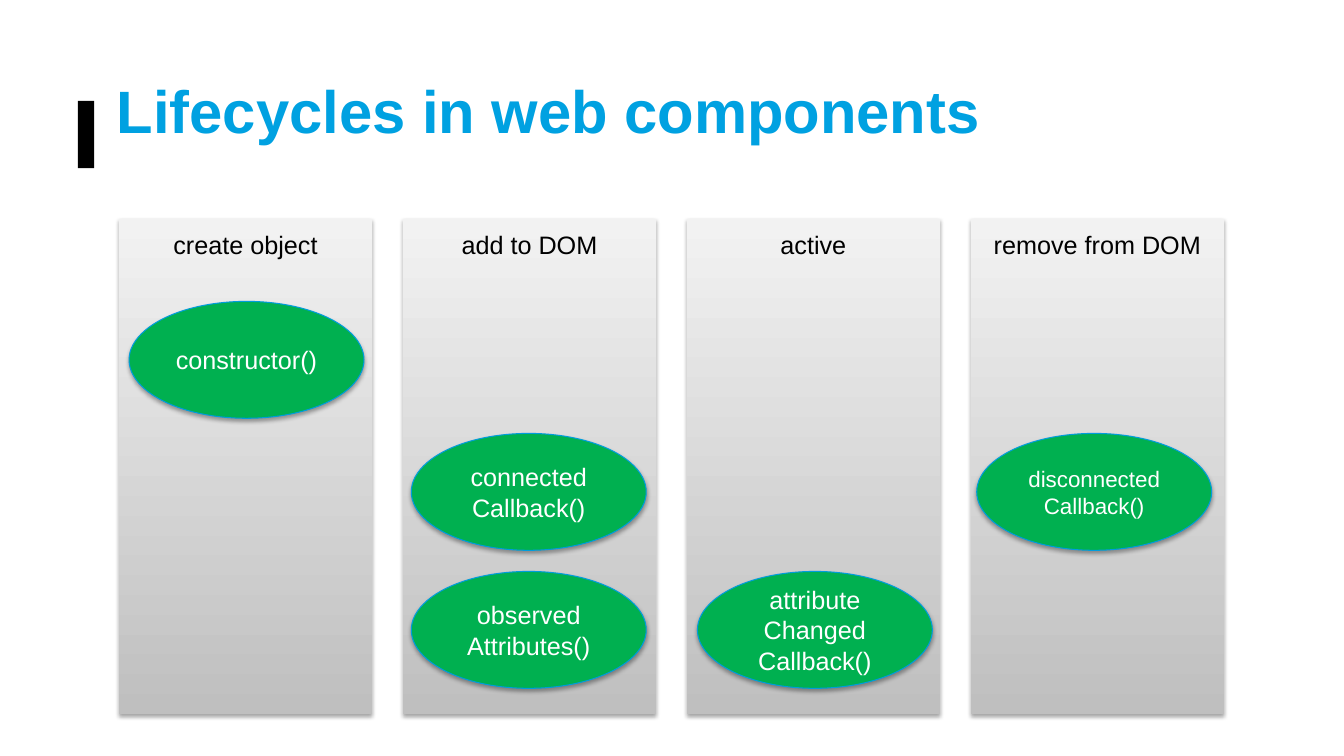
import pptx
import pptx.util
import pptx.dml.color
import pptx.enum.shapes
import pptx.enum.text
import pptx.oxml
import pptx.oxml.ns
from dataclasses import dataclass

Pt = pptx.util.Pt
SHAPE = pptx.enum.shapes.MSO_SHAPE
ALIGN = pptx.enum.text.PP_ALIGN
ANCHOR = pptx.enum.text.MSO_ANCHOR

# Content: each phase has callbacks as (lines, row, offset in column, type size)
TITLE = "Lifecycles in web components"
PHASES = [
    ("create object", [("constructor()", 0, 7.2, "body")]),
    ("add to DOM", [("connected\nCallback()", 1, 6, "body"),
                    ("observed\nAttributes()", 2, 6, "body")]),
    ("active", [("attribute\nChanged\nCallback()", 2, 7.6, "body")]),
    ("remove from DOM", [("disconnected\nCallback()", 1, 4.3, "small")]),
]


@dataclass
class Theme:
    font: str = "Arial"
    title_color: str = "00A1E1"
    bar: str = "000000"
    label: str = "000000"
    dark: str = "BFBFBF"
    light: str = "F2F2F2"
    callback: str = "00B050"
    outline: str = "009DDC"
    callback_text: str = "FFFFFF"
    title: float = 42.7
    body: float = 18
    small: float = 16


theme = Theme()

# Layout in points
COLUMN_LEFT, COLUMN_TOP, COLUMN_W, COLUMN_H = 85, 156.3, 180.8, 353.5
COLUMN_PITCH = 202.8
LABEL_TOP, LABEL_H = 159.9, 29.1
CALLBACK_W, CALLBACK_H = 167.8, 83.5
ROW_TOPS = [215.3, 309.6, 408.2]


def rgb(color):
    return pptx.dml.color.RGBColor.from_string(color)


def set_text(s, text, size, color, align=ALIGN.CENTER, anchor=ANCHOR.MIDDLE, bold=False):
    tf = s.text_frame
    tf.word_wrap = True
    tf.vertical_anchor = anchor
    tf.text = text
    for p in tf.paragraphs:
        p.alignment = align
        for r in p.runs:
            r.font.name = theme.font
            r.font.size = Pt(size)
            r.font.bold = bold
            r.font.color.rgb = rgb(color)


def add_shape(kind, x, y, w, h, fill=None):
    s = slide.shapes.add_shape(kind, Pt(x), Pt(y), Pt(w), Pt(h))
    s.shadow.inherit = False
    s.line.fill.background()
    if fill:
        s.fill.solid()
        s.fill.fore_color.rgb = rgb(fill)
    return s


def add_text(x, y, w, h, *args, **kwargs):
    s = slide.shapes.add_textbox(Pt(x), Pt(y), Pt(w), Pt(h))
    set_text(s, *args, **kwargs)


def add_shadow(s):
    effects = s.element.spPr.find(pptx.oxml.ns.qn("a:effectLst"))
    effects.append(pptx.oxml.parse_xml(
        f'<a:outerShdw {pptx.oxml.ns.nsdecls("a")} blurRad="{Pt(3.1)}" dist="{Pt(1.8)}" '
        'dir="5400000" rotWithShape="0"><a:srgbClr val="000000">'
        '<a:alpha val="35000"/></a:srgbClr></a:outerShdw>'))


def add_column(x):
    s = add_shape(SHAPE.RECTANGLE, x, COLUMN_TOP, COLUMN_W, COLUMN_H)
    s.fill.gradient()
    s.fill.gradient_angle = 90
    for stop, color in zip(s.fill.gradient_stops, (theme.dark, theme.light)):
        stop.color.rgb = rgb(color)
    add_shadow(s)


def add_callback(x, y, text, size):
    s = add_shape(SHAPE.OVAL, x, y, CALLBACK_W, CALLBACK_H, theme.callback)
    s.line.color.rgb = rgb(theme.outline)
    s.line.width = Pt(0.75)
    add_shadow(s)
    set_text(s, text, size, theme.callback_text)


prs = pptx.Presentation()
prs.slide_width, prs.slide_height = Pt(960), Pt(540)
slide = prs.slides.add_slide(prs.slide_layouts[6])

# Title with its marker bar
add_shape(SHAPE.RECTANGLE, 55.7, 72, 11.5, 48.2, theme.bar)
add_text(76.3, 25.9, 781.2, 104.4, TITLE, theme.title, theme.title_color,
         align=ALIGN.LEFT, bold=True)

# Lifecycle phases
for i, (label, callbacks) in enumerate(PHASES):
    x = COLUMN_LEFT + i * COLUMN_PITCH
    add_column(x)
    add_text(x, LABEL_TOP, COLUMN_W, LABEL_H, label, theme.body, theme.label,
             anchor=ANCHOR.TOP)
    for text, row, offset, size in callbacks:
        add_callback(x + offset, ROW_TOPS[row], text, getattr(theme, size))

prs.save("out.pptx")
